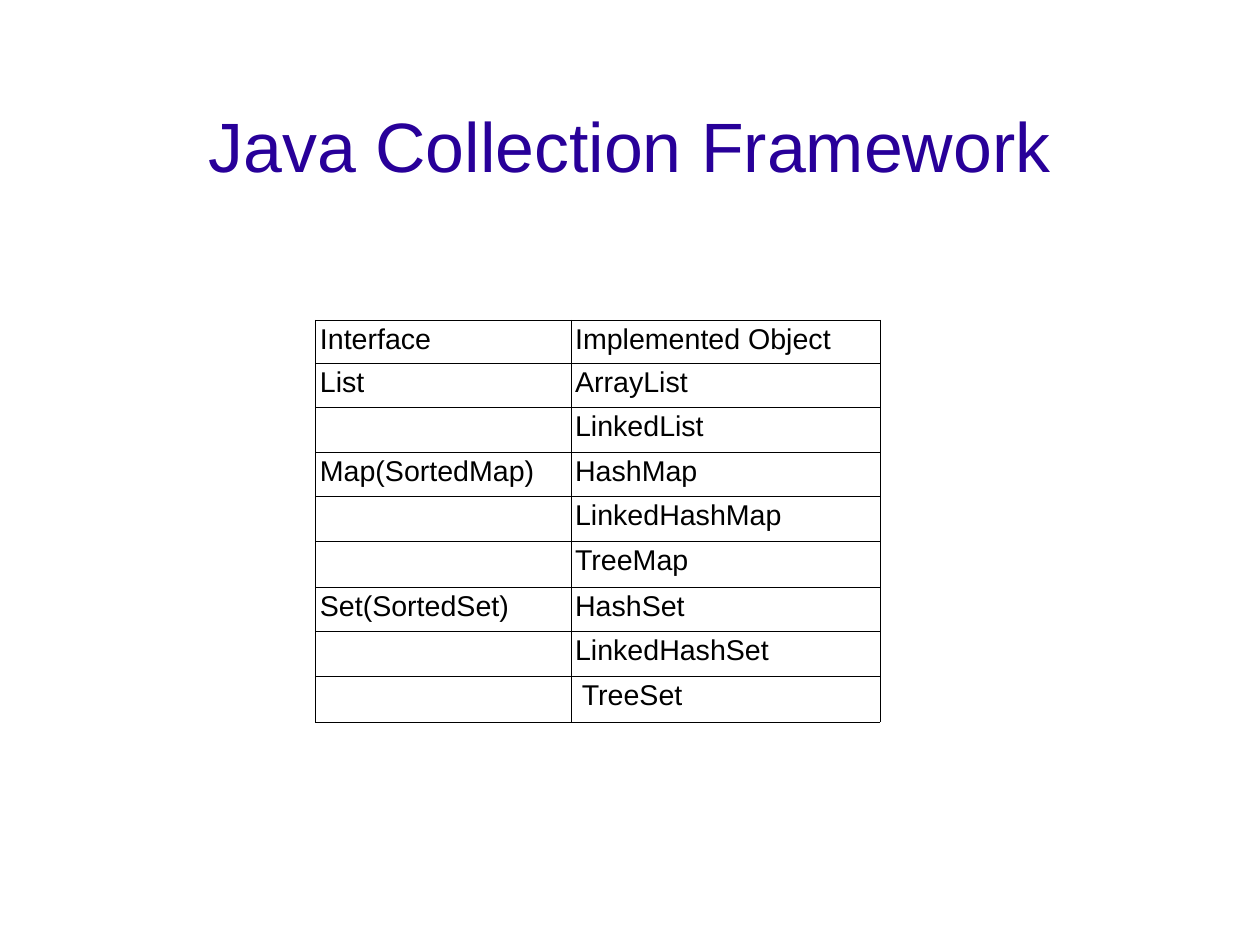
import dataclasses

import lxml.etree
import pptx
import pptx.dml.color
import pptx.enum.text
import pptx.oxml.ns
import pptx.util

# Grid of 28 columns by 21 rows over the whole slide
GRID_COLUMNS, GRID_ROWS = 28, 21
SLIDE_WIDTH = pptx.util.Cm(GRID_COLUMNS)
SLIDE_HEIGHT = pptx.util.Cm(GRID_ROWS)

FONT = "Arial"
INDIGO, BLACK, WHITE = "280099", "000000", "FFFFFF"
LINE_SPACING = 0.93
BORDER_WIDTH = pptx.util.Pt(0.06)


@dataclasses.dataclass(frozen=True)
class Entry:
    """One table row: its texts, its height in grid rows, its side inset in grid columns."""
    interface: str
    implementation: str
    height: float
    inset: float = 0.1


ENTRIES = [
    Entry("Interface", "Implemented Object", 0.96),
    Entry("List", "ArrayList", 0.97),
    Entry("", "LinkedList", 1.0),
    Entry("Map(SortedMap)", "HashMap", 0.98),
    Entry("", "LinkedHashMap", 1.0),
    Entry("", "TreeMap", 1.02),
    Entry("Set(SortedSet)", "HashSet", 0.98),
    Entry("", "LinkedHashSet", 1.0),
    Entry("", "TreeSet", 1.02, inset=0.25),
]
COLUMN_WIDTHS = [5.67, 6.88]


def across(columns: float) -> int:
    return round(SLIDE_WIDTH * columns / GRID_COLUMNS)


def down(rows: float) -> int:
    return round(SLIDE_HEIGHT * rows / GRID_ROWS)


def color(hex_value: str) -> pptx.dml.color.RGBColor:
    return pptx.dml.color.RGBColor.from_string(hex_value)


def write(frame, text: str, *, size: float, ink: str = BLACK,
          align=pptx.enum.text.PP_ALIGN.LEFT) -> None:
    paragraph = frame.paragraphs[0]
    paragraph.alignment = align
    paragraph.line_spacing = LINE_SPACING
    run = paragraph.add_run()
    run.text = text
    run.font.name = FONT
    run.font.size = pptx.util.Pt(size)
    run.font.color.rgb = color(ink)


def add_borders(cell, ink: str) -> None:
    properties = cell._tc.get_or_add_tcPr()
    qn = pptx.oxml.ns.qn
    for side in ("a:lnL", "a:lnR", "a:lnT", "a:lnB"):
        line = lxml.etree.SubElement(properties, qn(side), w=str(BORDER_WIDTH))
        fill = lxml.etree.SubElement(line, qn("a:solidFill"))
        lxml.etree.SubElement(fill, qn("a:srgbClr"), val=ink)


def fill_cell(cell, text: str, inset: float) -> None:
    cell.margin_left = cell.margin_right = across(inset)
    # Empty cells get thinner margins so that they do not stretch their row
    cell.margin_top = cell.margin_bottom = down(0.13 if text else 0.08)
    add_borders(cell, BLACK)
    cell.fill.solid()
    cell.fill.fore_color.rgb = color(WHITE)
    if text:
        write(cell.text_frame, text, size=18)


def add_title(slide, text: str) -> None:
    title = slide.shapes.title
    title.left, title.top = across(2), down(1.65)
    title.width, title.height = across(24), down(3.25)
    frame = title.text_frame
    frame.word_wrap = True
    frame.auto_size = pptx.enum.text.MSO_AUTO_SIZE.NONE
    frame.vertical_anchor = pptx.enum.text.MSO_ANCHOR.MIDDLE
    frame.margin_left = frame.margin_right = frame.margin_bottom = 0
    frame.margin_top = down(0.1)
    write(frame, text, size=44, ink=INDIGO, align=pptx.enum.text.PP_ALIGN.CENTER)


def add_collections(slide, entries: list[Entry]) -> None:
    collections_table = slide.shapes.add_table(
        len(entries), len(COLUMN_WIDTHS), across(7.01), down(7.11),
        across(sum(COLUMN_WIDTHS)), down(sum(entry.height for entry in entries))).table
    collections_table.first_row = collections_table.horz_banding = False
    for column, width in zip(collections_table.columns, COLUMN_WIDTHS):
        column.width = across(width)
    for row, entry in zip(collections_table.rows, entries):
        row.height = down(entry.height)
        for cell, text in zip(row.cells, (entry.interface, entry.implementation)):
            fill_cell(cell, text, entry.inset)


def main() -> None:
    deck = pptx.Presentation()
    deck.slide_width, deck.slide_height = SLIDE_WIDTH, SLIDE_HEIGHT
    slide = deck.slides.add_slide(deck.slide_layouts[5])
    slide.background.fill.solid()
    slide.background.fill.fore_color.rgb = color(WHITE)

    # Heading
    add_title(slide, "Java Collection Framework")
    # Interfaces and the classes that implement them
    add_collections(slide, ENTRIES)

    deck.save("out.pptx")


if __name__ == "__main__":
    main()
